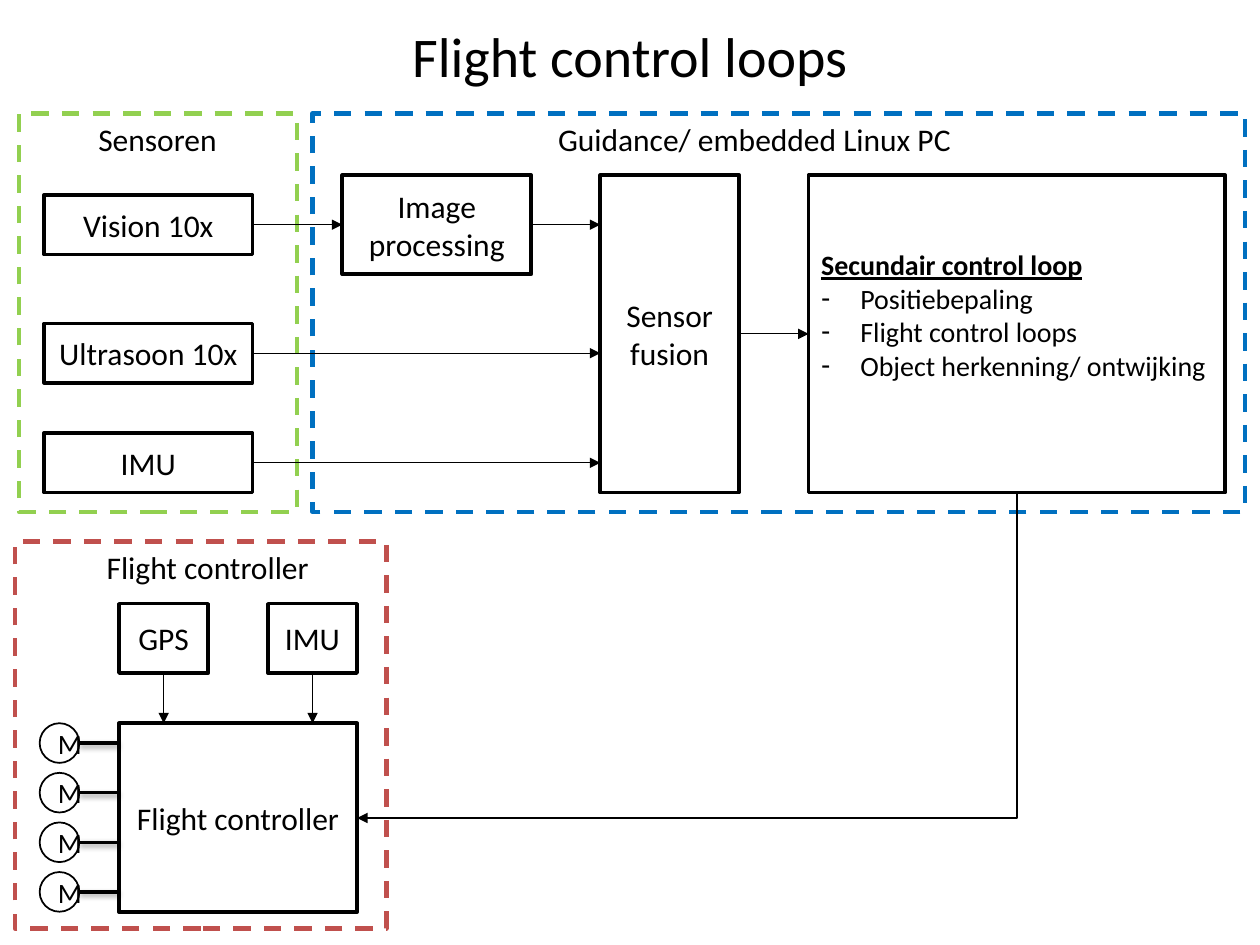
from lxml import etree
from pptx import Presentation
from pptx.dml.color import RGBColor
from pptx.enum.dml import MSO_LINE
from pptx.enum.shapes import MSO_CONNECTOR, MSO_SHAPE
from pptx.enum.text import MSO_ANCHOR, MSO_AUTO_SIZE, PP_ALIGN
from pptx.oxml.ns import qn
from pptx.util import Cm, Pt

RECT, OVAL = MSO_SHAPE.RECTANGLE, MSO_SHAPE.OVAL
LINE, ELBOW = MSO_CONNECTOR.STRAIGHT, MSO_CONNECTOR.ELBOW
LEFT, CENTER = PP_ALIGN.LEFT, PP_ALIGN.CENTER
TOP, MIDDLE = MSO_ANCHOR.TOP, MSO_ANCHOR.MIDDLE
FIXED, GROW = MSO_AUTO_SIZE.NONE, MSO_AUTO_SIZE.SHAPE_TO_FIT_TEXT
DASH = MSO_LINE.DASH
NORTH, WEST, SOUTH, EAST = range(4)

COLORS = {
    "ink": "000000",
    "paper": "FFFFFF",
    "green": "92D050",
    "blue": "0070C0",
    "red": "C0504D",
}


def color(name):
    return RGBColor.from_string(COLORS[name])


def apply(item, values):
    for key, value in values.items():
        setattr(item, key, value)


class Board:
    font = "Calibri"

    def __init__(self, slide):
        self.slide = slide
        self.shapes = slide.shapes

    def place(self, shape, spot):
        names = ("left", "top", "width", "height")
        apply(shape, dict(zip(names, map(Cm, spot))))

    def paint(self, shape, tint="ink", width=2):
        shape.fill.solid()
        shape.fill.fore_color.rgb = color("paper")
        self.stroke(shape, tint, width)

    def stroke(self, shape, tint, width):
        shape.line.color.rgb = color(tint)
        shape.line.width = Pt(width)

    def letter(self, shape, lines, size=18, align=CENTER, anchor=MIDDLE, fit=FIXED):
        frame = shape.text_frame
        frame.text = "\n".join(lines)
        apply(frame, {"word_wrap": True, "auto_size": fit, "vertical_anchor": anchor})
        for para in frame.paragraphs:
            apply(para, {"alignment": align, "space_before": Pt(0)})
            for run in para.runs:
                apply(run.font, {"name": self.font, "size": Pt(size)})
                run.font.color.rgb = color("ink")

    def title(self, text, spot):
        shape = self.shapes.title
        self.place(shape, spot)
        self.letter(shape, [text], 32)

    def frame(self, tint, *spot):
        shape = self.shapes.add_shape(RECT, *map(Cm, spot))
        shape.shadow.inherit = False
        self.paint(shape, tint, 2.5)
        shape.line.dash_style = DASH

    def box(self, text, *spot, kind=RECT, width=2, size=18):
        shape = self.shapes.add_shape(kind, *map(Cm, spot))
        shape.shadow.inherit = False
        self.paint(shape, width=width)
        self.letter(shape, [text], size)
        return shape

    def label(self, text, *spot, align=LEFT):
        shape = self.shapes.add_textbox(*map(Cm, spot))
        self.letter(shape, [text], align=align, anchor=TOP, fit=GROW)

    def points(self, head, items, spot):
        shape = self.slide.placeholders[1]
        tree = shape.element.getparent()
        tree.append(shape.element)
        self.place(shape, spot)
        self.paint(shape)
        self.letter(shape, [head, *items], 16, LEFT)
        shape.text_frame.margin_bottom = Cm(0.9)
        first, *rest = shape.text_frame.paragraphs
        apply(first.runs[0].font, {"bold": True, "underline": True})
        self.bullet(first, 0)
        for para in rest:
            self.bullet(para, 0.79, "-")
        return shape

    def bullet(self, para, indent, mark=None):
        props = para._p.get_or_add_pPr()
        props.set("marL", str(Cm(indent)))
        props.set("indent", str(-Cm(indent)))
        if mark:
            etree.SubElement(props, qn("a:buFontTx"))
            etree.SubElement(props, qn("a:buChar")).set("char", mark)
        else:
            etree.SubElement(props, qn("a:buNone"))

    def stub(self, x, y, end):
        line = self.shapes.add_connector(LINE, Cm(x), Cm(y), Cm(end), Cm(y))
        self.stroke(line, "ink", 2)

    def arrow(self, start, side, goal, slot=None, kind=LINE):
        point = (0, 0) if slot is not None else goal
        ends = [Cm(value) for value in point]
        line = self.shapes.add_connector(kind, *ends, *ends)
        line.begin_connect(start, side)
        if slot is not None:
            line.end_connect(goal, slot)
        self.stroke(line, "ink", 0.75)
        tail = etree.SubElement(line.line._get_or_add_ln(), qn("a:tailEnd"))
        tail.set("type", "triangle")
        etree.SubElement(line._element.spPr, qn("a:effectLst"))
        return line

    def corner(self, start, goal, spot):
        line = self.arrow(start, SOUTH, goal, EAST, ELBOW)
        props = line._element.spPr
        form = props.find(qn("a:xfrm"))
        for flip in ("flipH", "flipV"):
            form.attrib.pop(flip, None)
        form.set("rot", "5400000")
        props.find(qn("a:prstGeom")).set("prst", "bentConnector2")
        self.place(line, spot)


def main():
    deck = Presentation()
    apply(deck, {"slide_width": Cm(25.4), "slide_height": Cm(19.05)})
    board = Board(deck.slides.add_slide(deck.slide_layouts[1]))
    board.title("Flight control loops", (1.27, -0.1, 22.86, 2.41))

    board.frame("green", 0.38, 2.29, 5.61, 8.03)
    board.frame("blue", 6.3, 2.29, 18.8, 8.03)
    board.frame("red", 0.3, 10.92, 7.49, 7.8)
    board.label("Sensoren", 1.5, 2.29, 3.35, 1.03, align=CENTER)
    board.label("Guidance/ embedded Linux PC", 11, 2.29, 10.7, 1.03)
    board.label("Flight controller", 1.9, 10.92, 5.8, 1.03)

    vision, sonar, inert = [
        board.box(text, 0.89, top, 4.2, 1.2)
        for text, top in (("Vision 10x", 3.93), ("Ultrasoon 10x", 6.52), ("IMU", 8.73))
    ]
    image = board.box("Image processing", 6.9, 3.53, 3.81, 2)
    fusion = board.box("Sensor fusion", 12.1, 3.53, 2.8, 6.4)
    loop = board.points(
        "Secundair control loop",
        ["Positiebepaling", "Flight control loops", "Object herkenning/ ontwijking"],
        (16.3, 3.53, 8.4, 6.4),
    )
    board.arrow(vision, EAST, image, WEST)
    for start, y in ((image, 4.53), (sonar, 7.12), (inert, 9.33)):
        board.arrow(start, EAST, (12.1, y))
    board.arrow(fusion, EAST, loop, WEST)

    pilot = board.box("Flight controller", 2.4, 14.58, 4.8, 3.81)
    for text, x in (("GPS", 2.4), ("IMU", 5.4)):
        unit = board.box(text, x, 12.17, 1.8, 1.4)
        board.arrow(unit, SOUTH, (x + 0.9, 14.58))
    for row in range(4):
        top = 14.58 + row
        board.box("M", 0.8, top, 0.8, 0.8, kind=OVAL, width=1, size=16)
        board.stub(1.6, top + 0.4, 2.4)
    board.corner(loop, pilot, (10.57, 6.56, 6.56, 13.3))

    deck.save("out.pptx")


if __name__ == "__main__":
    main()
